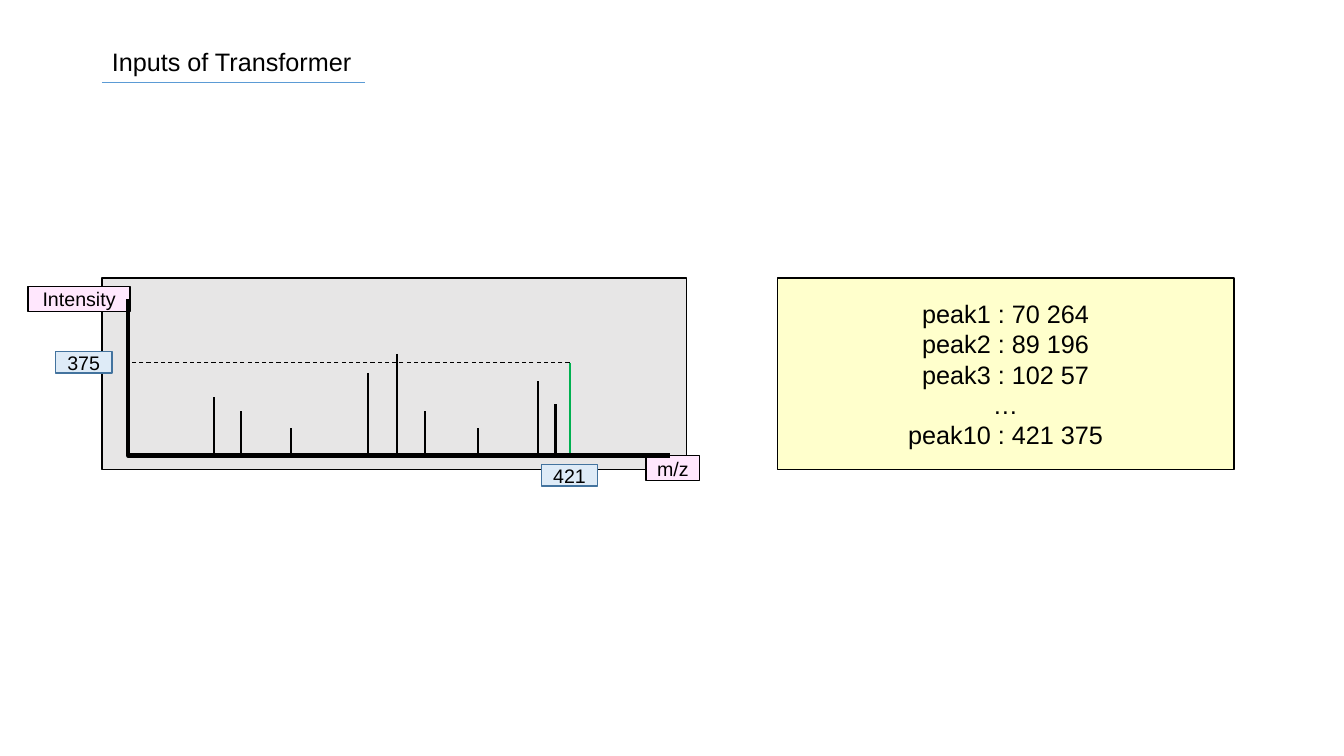
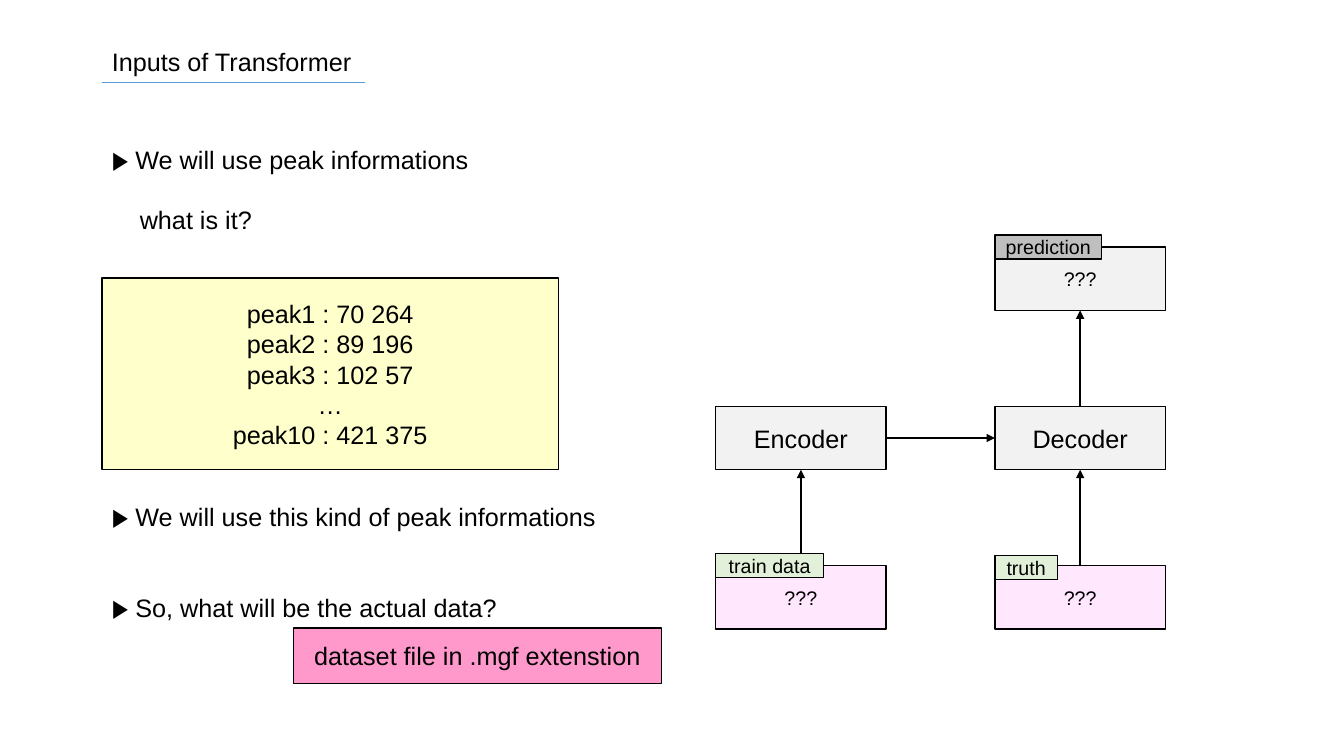
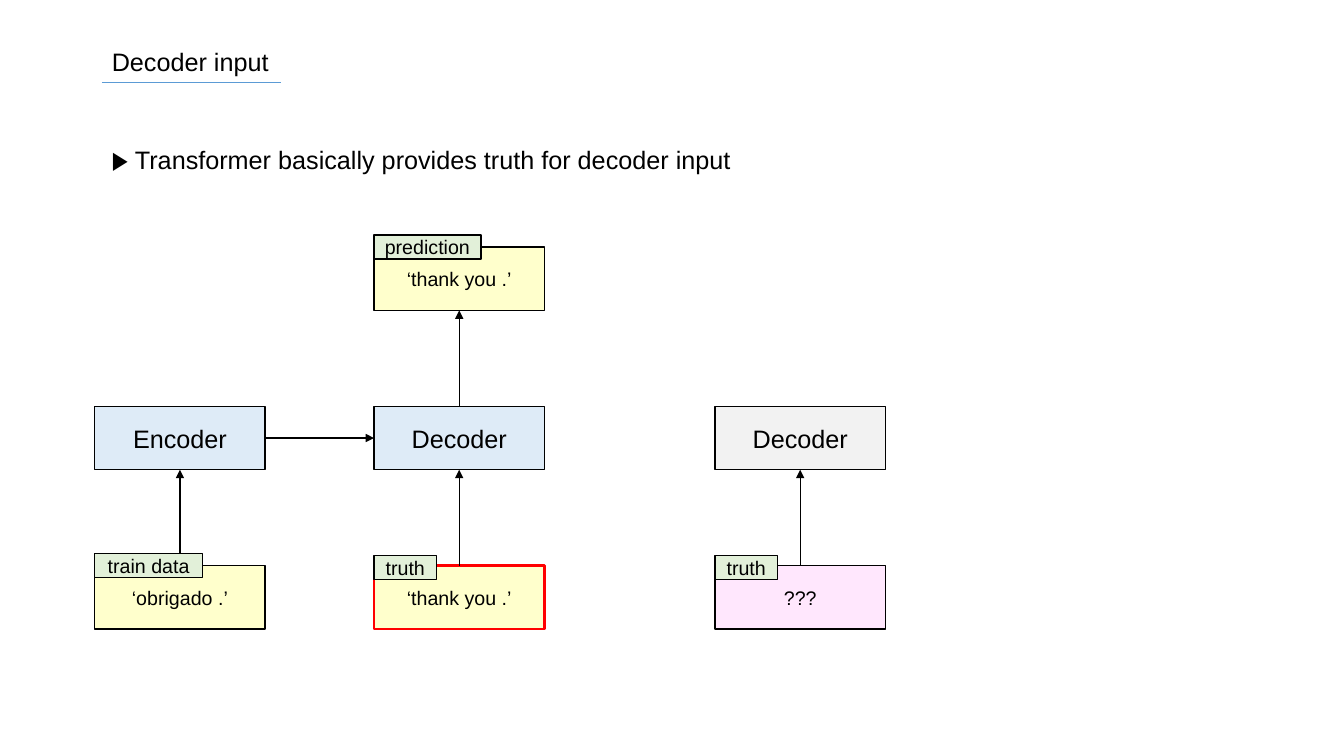
import pptx
import pptx.util
import pptx.dml.color
import pptx.enum.dml
import pptx.enum.shapes
import pptx.enum.text
import pptx.oxml.ns
from lxml import etree

Pt = pptx.util.Pt
CENTER = pptx.enum.text.PP_ALIGN.CENTER
MIDDLE = pptx.enum.text.MSO_ANCHOR.MIDDLE
RECT = pptx.enum.shapes.MSO_SHAPE.RECTANGLE
CONNECTOR = pptx.enum.shapes.MSO_CONNECTOR

# Palette
BLACK, GREY, PANEL, ACCENT = "000000", "BFBFBF", "E7E6E6", "5B9BD5"
YELLOW, PINK, ROSE, RED = "FFFFCC", "FFE7FD", "FF99CC", "FF0000"
BLUE, BLUE_EDGE, MINT, GREEN = "DEEBF7", "43739E", "E2F0D9", "00B050"

# Grid: every length is a percentage of the slide's width or height
LEFT = 7.58
PEAKS_TOP, PEAKS_W, PEAKS_H = 36.8, 33.98, 25.33
NODE_W, NODE_H = 12.68, 8.4
NODE_TOP, ROW_STEP, COL_STEP = 32.67, 21.07, 20.78
TAGS = {  # tag: (rise above its node, width)
    "prediction": (1.6, 7.95),
    "train data": (1.6, 8.03),
    "truth": (1.33, 4.65),
}
PEAKS = ["peak1 : 70 264", "peak2 : 89 196", "peak3 : 102 57", "…",
         "peak10 : 421 375"]


def rgb(code):
    return pptx.dml.color.RGBColor.from_string(code)


def sub(parent, tag, **attrs):
    return etree.SubElement(parent, pptx.oxml.ns.qn(tag), attrs)


def write(tf, text, size=18, align=None, gap=0, indent=0):
    """Fill a frame; gap and indent (points) apply after the first line."""
    lines = [text] if isinstance(text, str) else text
    for i, line in enumerate(lines):
        p = tf.paragraphs[0] if i == 0 else tf.add_paragraph()
        p.alignment = align
        if len(lines) > 1:
            p.line_spacing = Pt(21.6)
        if i and gap:
            p.space_before = Pt(gap)
        if i and indent:
            p._p.get_or_add_pPr().set("marL", str(Pt(indent)))
        r = p.add_run()
        r.text = line
        r.font.name, r.font.size = "Arial", Pt(size)
        r.font.color.rgb = rgb(BLACK)


class Deck:
    """Holds the presentation, its style and the current slide."""

    def __init__(self):
        self.prs = pptx.Presentation()
        self.prs.slide_width = pptx.util.Inches(13.33)
        self.prs.slide_height = pptx.util.Inches(7.5)
        self.s = None

    def x(self, share):
        return round(self.prs.slide_width * share / 100)

    def y(self, share):
        return round(self.prs.slide_height * share / 100)

    def area(self, x, y, w, h):
        return self.x(x), self.y(y), self.x(w), self.y(h)

    def slide(self, title, rule_end):
        self.s = self.prs.slides.add_slide(self.prs.slide_layouts[6])
        self.text(title, 5.47)
        self.line(LEFT, 10.93, rule_end, 10.93, ACCENT, 0.5)

    def text(self, text, y, w=42.68, h=5.33, **fmt):
        tf = self.s.shapes.add_textbox(*self.area(LEFT, y, w, h)).text_frame
        tf.word_wrap = True
        write(tf, text, **fmt)

    def box(self, x, y, w, h, fill, text=None, size=14, edge=BLACK, weight=1,
            alpha=None):
        sp = self.s.shapes.add_shape(RECT, *self.area(x, y, w, h))
        sp.shadow.inherit = False
        sp.fill.solid()
        sp.fill.fore_color.rgb = rgb(fill)
        if alpha:
            color = sp.element.xpath("./p:spPr/a:solidFill/a:srgbClr")[0]
            sub(color, "a:alpha", val=str(alpha * 1000))
        sp.line.color.rgb, sp.line.width = rgb(edge), Pt(weight)
        if text:
            tf = sp.text_frame
            tf.word_wrap, tf.vertical_anchor = True, MIDDLE
            tf.margin_left = tf.margin_right = 0
            tf.margin_top = tf.margin_bottom = 0
            write(tf, text, size, CENTER)

    def line(self, x1, y1, x2, y2, color=BLACK, weight=1.0, dash=False,
             arrow=False, elbow=False):
        kind = CONNECTOR.ELBOW if elbow else CONNECTOR.STRAIGHT
        c = self.s.shapes.add_connector(kind, self.x(x1), self.y(y1),
                                        self.x(x2), self.y(y2))
        c.line.color.rgb, c.line.width = rgb(color), Pt(weight)
        if dash:
            c.line.dash_style = pptx.enum.dml.MSO_LINE.DASH
        if arrow:
            sub(c.line._get_or_add_ln(), "a:tailEnd", type="triangle")
        if elbow:  # bend right at the start
            guides = c.element.xpath("./p:spPr/a:prstGeom/a:avLst")[0]
            sub(guides, "a:gd", name="adj1", fmla="val 0")
        sub(c.element.spPr, "a:effectLst")

    def peaks(self, x):
        self.box(x, PEAKS_TOP, PEAKS_W, PEAKS_H, YELLOW, PEAKS, 18)

    def node(self, x, row, text, fill, tag=None, tag_fill=MINT, feeds=True,
             **fmt):
        """A box on a row, its arrow to the row above, and its tag."""
        top = NODE_TOP + row * ROW_STEP
        self.box(x, top, NODE_W, NODE_H, fill, text, **fmt)
        if feeds:
            mid = x + NODE_W / 2
            self.line(mid, top, mid, top - ROW_STEP + NODE_H, arrow=True)
        if tag:
            rise, w = TAGS[tag]
            self.box(x, top - rise, w, 3.2, tag_fill, tag)

    def transformer(self, x, model, source, target, output, output_tag):
        """Encoder and decoder; each argument holds a node's format."""
        right = x + COL_STEP
        self.node(x, 1, "Encoder", size=18, feeds=False, **model)
        self.node(right, 1, "Decoder", size=18, **model)
        mid = NODE_TOP + ROW_STEP + NODE_H / 2
        self.line(x + NODE_W, mid, right, mid, arrow=True)
        self.node(x, 2, tag="train data", **source)
        self.node(right, 2, tag="truth", **target)
        self.node(right, 0, tag="prediction", tag_fill=output_tag,
                  feeds=False, **output)


def main():
    d = Deck()
    faded = dict(fill=GREY, alpha=20)
    unknown = dict(text="???", fill=PINK)

    # Slide 1: spectrum and its peak list
    d.slide("Inputs of Transformer", 27.15)
    d.box(LEFT, PEAKS_TOP, 43.5, PEAKS_H, PANEL)
    d.box(2.1, 37.87, 7.58, 3.33, PINK, "Intensity")
    d.box(48.08, 60.27, 3.98, 3.33, PINK, "m/z")
    axis_x, base = 9.53, 60.27
    for x, top in [(15.9, 52.53), (17.93, 54.4), (21.68, 56.67),
                   (27.38, 49.33), (29.55, 46.8), (31.65, 54.4),
                   (35.55, 56.67), (40.05, 50.4), (41.33, 53.47)]:
        d.line(x, top, x, base, weight=1.5)
    chosen_x, chosen_y = 42.38, 48
    d.line(chosen_x, chosen_y, chosen_x, base, GREEN, 1.5)
    d.line(axis_x, 39.6, 49.88, base, weight=3, elbow=True)
    d.line(chosen_x, chosen_y, axis_x, chosen_y, weight=0.75, dash=True)
    d.peaks(57.83)
    for x, y, value in [(4.13, 46.53, "375"), (40.28, 61.47, "421")]:
        d.box(x, y, 4.2, 2.8, BLUE, value, edge=BLUE_EDGE)

    # Slide 2: open questions about the data
    d.slide("Inputs of Transformer", 27.15)
    d.text(["▶ We will use peak informations", "what is it?"], 18.4, h=13.47,
           gap=21.6, indent=20)
    d.transformer(53.25, faded, unknown, unknown, dict(faded, text="???"),
                  GREY)
    d.peaks(LEFT)
    d.text("▶ We will use this kind of peak informations", 65.6)
    d.text("▶ So, what will be the actual data?", 77.73)
    d.box(21.83, 83.07, 27.38, 7.33, ROSE, "dataset file in .mgf extenstion",
          18)

    # Slide 3: translation example beside the open decoder input
    d.slide("Decoder input", 20.93)
    d.text("▶ Transformer basically provides truth for decoder input", 18.4,
           w=50.7)
    thanks = dict(text="‘thank you .’", fill=YELLOW)
    d.transformer(7.05, dict(fill=BLUE),
                  dict(text="‘obrigado .’", fill=YELLOW),
                  dict(thanks, edge=RED, weight=2), thanks, MINT)
    d.node(53.2, 1, "Decoder", size=18, feeds=False, **faded)
    d.node(53.2, 2, tag="truth", **unknown)

    d.prs.save("out.pptx")


if __name__ == "__main__":
    main()
